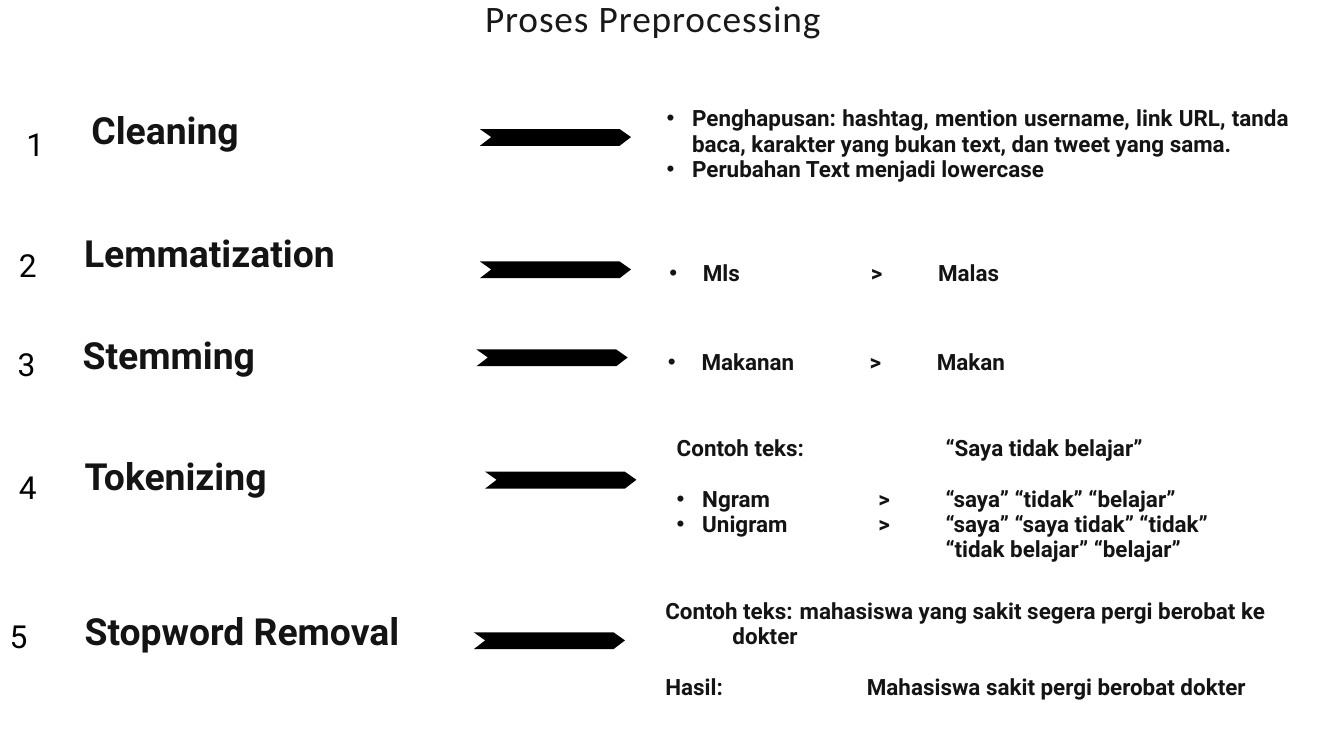
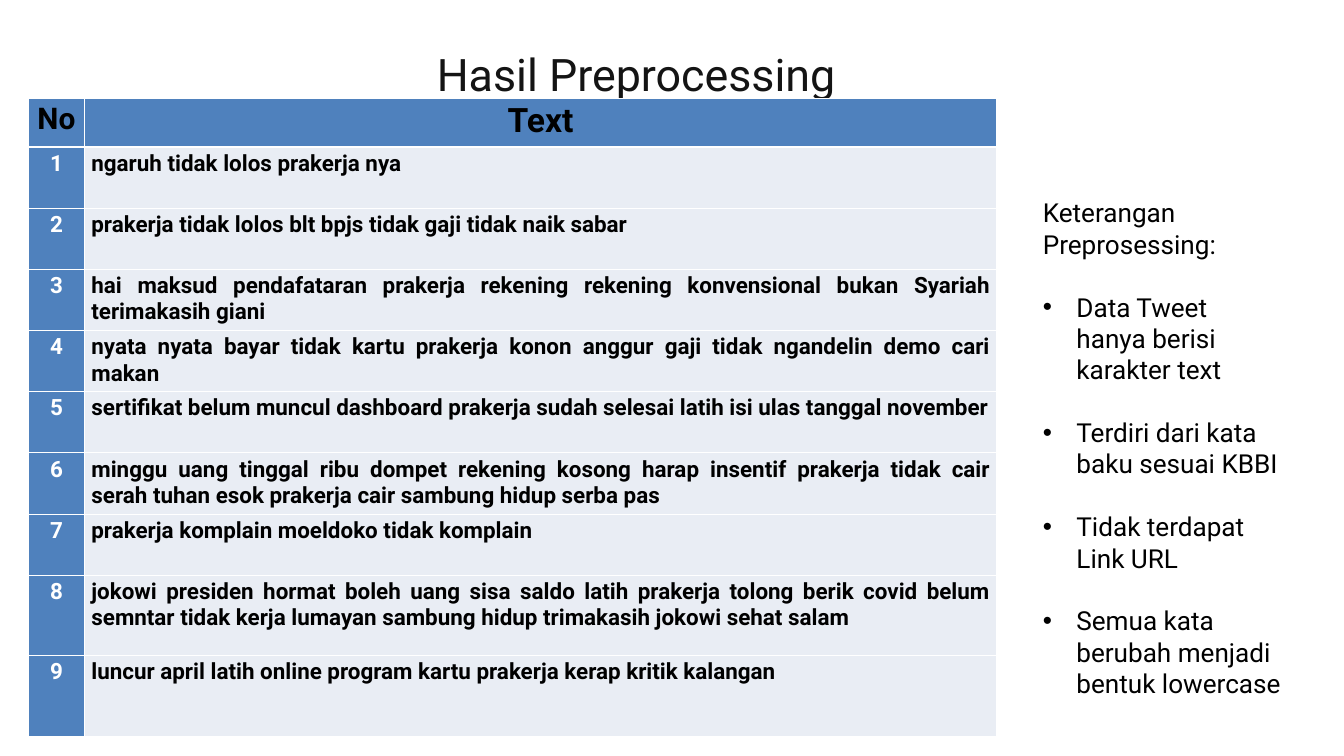
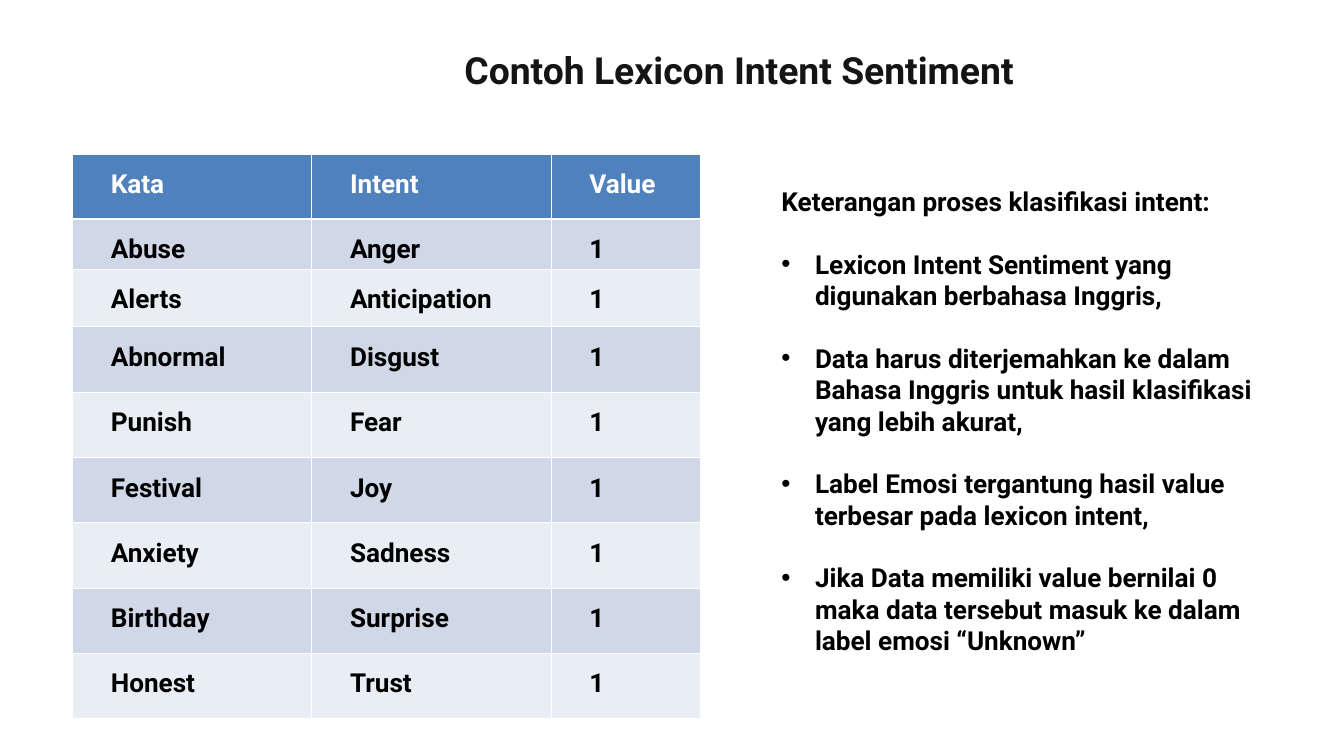
from dataclasses import dataclass

from lxml import etree
from pptx import Presentation
from pptx import util as u
from pptx.dml.color import RGBColor
from pptx.enum import text
from pptx.oxml import ns

PX = 9144
COLORS = {
    "ink": "141414",
    "heading": "191919",
    "black": "000000",
    "white": "FFFFFF",
    "header": "4F81BD",
    "band_dark": "D0D8E8",
    "band_light": "E9EDF4",
}
LEFT, CENTER, JUSTIFY = text.PP_ALIGN.LEFT, text.PP_ALIGN.CENTER, text.PP_ALIGN.JUSTIFY
NO_INSETS = (0, 0, 0, 0)
TEXT_INSETS = (10, 5, 10, 5)
LINE_GAP = 33.6


@dataclass
class Style:
    """Character and paragraph look of a text."""

    size: int
    color: str = "ink"
    bold: bool = False
    font: str = "Roboto"
    align: text.PP_ALIGN = LEFT
    spacing: object = None
    tracking: int = 0


@dataclass
class Line:
    """One paragraph with its indents, tab stops and space before."""

    words: str
    indent: int = 0
    hanging: int = 0
    bullet: bool = False
    tabs: tuple = ()
    before: float = 0
    align: text.PP_ALIGN = None


@dataclass
class Step:
    """One preprocessing step; places are relative to the top of its row."""

    top: int
    name: str
    number_at: tuple
    label_at: tuple
    label_spacing: float
    arrow_at: tuple
    detail_box: tuple
    details: list


def px(length):
    """Turn pixels into EMU."""
    return u.Emu(length * PX)


def rgb(name):
    """Look up a colour."""
    return RGBColor.from_string(COLORS[name])


def add_child(parent, tag, **attributes):
    """Append a drawing element with the given attributes."""
    return etree.SubElement(parent, ns.qn(tag), {key: str(value) for key, value in attributes.items()})


def format_paragraph(paragraph, line, style):
    """Set indents, bullet, tab stops and spacing, then add the run."""
    properties = paragraph._p.get_or_add_pPr()
    if line.indent:
        properties.set("marL", str(px(line.indent)))
        properties.set("indent", str(px(-line.hanging)))
    if line.bullet:
        add_child(properties, "a:buFont", typeface="Arial")
        add_child(properties, "a:buChar", char="•")
    if line.tabs:
        tab_list = add_child(properties, "a:tabLst")
        for stop in line.tabs:
            add_child(tab_list, "a:tab", pos=px(stop), algn="l")
    paragraph.alignment = style.align if line.align is None else line.align
    if style.spacing:
        paragraph.line_spacing = style.spacing
    if line.before:
        paragraph.space_before = u.Pt(line.before)
    run = paragraph.add_run()
    run.text = line.words
    run.font.size = u.Pt(style.size)
    run.font.name = style.font
    run.font.bold = style.bold
    run.font.color.rgb = rgb(style.color)
    if style.tracking:
        run._r.get_or_add_rPr().set("spc", str(style.tracking))


def write(frame, lines, style):
    """Fill a text frame with paragraphs."""
    for index, line in enumerate(lines):
        paragraph = frame.add_paragraph() if index else frame.paragraphs[0]
        format_paragraph(paragraph, line, style)


def set_insets(target, insets):
    """Set the four inner margins of a frame or cell."""
    target.margin_left, target.margin_top, target.margin_right, target.margin_bottom = map(px, insets)


def fill_text_shape(shape, lines, style, insets):
    """Prepare the frame of a shape and write into it."""
    frame = shape.text_frame
    frame.word_wrap = True
    frame.auto_size = text.MSO_AUTO_SIZE.SHAPE_TO_FIT_TEXT
    frame.vertical_anchor = text.MSO_ANCHOR.TOP
    set_insets(frame, insets)
    write(frame, lines, style)


def add_text(slide, box, lines, style, insets=NO_INSETS):
    """Add a text box."""
    fill_text_shape(slide.shapes.add_textbox(*map(px, box)), lines, style, insets)


def add_titled_slide(presentation, title, box, style, insets=NO_INSETS):
    """Add a title-only slide and format its title."""
    slide = presentation.slides.add_slide(presentation.slide_layouts[5])
    shape = slide.shapes.title
    shape.left, shape.top, shape.width, shape.height = map(px, box)
    fill_text_shape(shape, [Line(title)], style, insets)
    return slide


def add_arrow(slide, left, top):
    """Draw a notched black arrow."""
    width, height, notch = 225, 25, 17
    middle, shoulder = height // 2, width - notch
    builder = slide.shapes.build_freeform(left + shoulder, top + height, scale=PX)
    outline = [(0, height), (notch, middle), (0, 0), (shoulder, 0), (width, middle)]
    builder.add_line_segments([(left + x, top + y) for x, y in outline], close=True)
    shape = builder.convert_to_shape()
    shape.shadow.inherit = False
    shape.fill.solid()
    shape.fill.fore_color.rgb = rgb("black")
    shape.line.fill.background()


def add_step(slide, number, step):
    """Place number, name, arrow and details of one step."""
    number_left, number_top = step.number_at
    label_left, label_top = step.label_at
    arrow_left, arrow_top = step.arrow_at
    detail_left, detail_top, detail_width, detail_height = step.detail_box
    add_text(slide, (number_left, step.top + number_top, 39, 64), [Line(str(number))],
             Style(34, "black", align=CENTER, spacing=u.Pt(47.6)))
    add_text(slide, (label_left, step.top + label_top, 821, 50), [Line(step.name)],
             Style(40, bold=True, align=JUSTIFY, spacing=u.Pt(step.label_spacing)))
    add_arrow(slide, arrow_left, step.top + arrow_top)
    add_text(slide, (detail_left, step.top + detail_top, detail_width, detail_height), step.details,
             Style(24, bold=True, spacing=u.Pt(27)))


def set_borders(cell, bottom_width):
    """Give a cell white borders."""
    properties = cell._tc.get_or_add_tcPr()
    for index, (side, points) in enumerate({"L": 1, "R": 1, "T": 1, "B": bottom_width}.items()):
        border = etree.Element(ns.qn(f"a:ln{side}"), w=str(u.Pt(points)))
        add_child(add_child(border, "a:solidFill"), "a:srgbClr", val=COLORS["white"])
        properties.insert(index, border)


def add_table(slide, left, top, widths, heights, rows, look):
    """Add a table; look(row, column) gives fill, style, insets and indent."""
    box = (left, top, sum(widths), sum(heights))
    table = slide.shapes.add_table(len(rows), len(widths), *map(px, box)).table
    table.horz_banding = False
    for column, width in zip(table.columns, widths):
        column.width = px(width)
    for row, height in zip(table.rows, heights):
        row.height = px(height)
    for row_index, row in enumerate(rows):
        for column_index, words in enumerate(row):
            cell = table.cell(row_index, column_index)
            fill, style, insets, indent = look(row_index, column_index)
            cell.fill.solid()
            cell.fill.fore_color.rgb = rgb(fill)
            set_borders(cell, 1 if row_index else 3)
            set_insets(cell, insets)
            write(cell.text_frame, [Line(words, indent)], style)


def add_notes_list(slide, box, heading, points, bold):
    """Add a heading with spaced bullet points."""
    lines = [Line(heading)]
    lines += [Line(point, 50, 50, True, before=LINE_GAP) for point in points]
    add_text(slide, box, lines, Style(28, "black", bold), TEXT_INSETS)


def result_look(row, column):
    """Look of a cell in the results table."""
    if row == 0:
        return "header", Style(36 if column else 32, "black", True, align=CENTER), TEXT_INSETS, 0
    if column == 0:
        return "header", Style(24, "white", True, align=CENTER), TEXT_INSETS, 0
    return "band_light", Style(24, "black", True, align=JUSTIFY), TEXT_INSETS, 0


def lexicon_look(row, column):
    """Look of a cell in the lexicon table."""
    fill = "header" if row == 0 else ("band_light", "band_dark")[row % 2]
    style = Style(28, "black" if row else "white", True, spacing=1.5)
    return fill, style, (7, 0, 7, 0), 50


def build_process(presentation):
    """Build the slide of preprocessing steps."""
    slide = add_titled_slide(presentation, "Proses Preprocessing", (472, 8, 1000, 60),
                             Style(40, "heading", font="Calibri", align=CENTER,
                                   spacing=u.Pt(33.5), tracking=100), TEXT_INSETS)
    columns = (300, 400)
    steps = [
        Step(158, "Cleaning", (33, 18), (136, 35), 24.3, (714, 34), (992, 0, 926, 114), [
            Line("Penghapusan: hashtag, mention username, link URL, tanda baca, karakter yang "
                 "bukan text, dan tweet yang sama.", 38, 38, True, align=JUSTIFY),
            Line("Perubahan Text menjadi lowercase", 38, 38, True, align=JUSTIFY)]),
        Step(356, "Lemmatization", (22, 0), (125, 16), 27, (714, 33), (996, 32, 926, 38), [
            Line("Mls\t>\tMalas", 50, 50, True, columns)]),
        Step(503, "Stemming", (20, 0), (123, 9), 35.7, (709, 17), (994, 18, 937, 38), [
            Line("Makanan\t>\tMakan", 50, 50, True, columns)]),
        Step(649, "Tokenizing", (22, 38), (126, 46), 33, (722, 53), (1007, 0, 948, 189), [
            Line("Contoh teks:\t“Saya tidak belajar”", tabs=(400,)),
            Line("Ngram\t>\t“saya” “tidak” “belajar”", 38, 38, True, columns, 27),
            Line("Unigram\t>\t“saya” “saya tidak” “tidak”", 38, 38, True, columns),
            Line("“tidak belajar” “belajar”", 400)]),
        Step(891, "Stopword Removal", (8, 18), (126, 29), 37.2, (705, 50), (990, 0, 971, 151), [
            Line("Contoh teks:\tmahasiswa yang sakit segera pergi berobat ke dokter",
                 100, 100, tabs=(300,)),
            Line("Hasil:\tMahasiswa sakit pergi berobat dokter", tabs=(300,), before=27)]),
    ]
    for number, step in enumerate(steps, 1):
        add_step(slide, number, step)


def build_results(presentation):
    """Build the slide of preprocessing results."""
    slide = add_titled_slide(presentation, "Hasil Preprocessing", (650, -1, 800, 135),
                             Style(48, spacing=u.Pt(108)))
    tweets = [
        "ngaruh tidak lolos prakerja nya",
        "prakerja tidak lolos blt bpjs tidak gaji tidak naik sabar",
        "hai maksud pendafataran prakerja rekening rekening konvensional bukan Syariah terimakasih giani",
        "nyata nyata bayar tidak kartu prakerja konon anggur gaji tidak ngandelin demo cari makan",
        "sertifikat belum muncul dashboard prakerja sudah selesai latih isi ulas tanggal november",
        "minggu uang tinggal ribu dompet rekening kosong harap insentif prakerja tidak cair "
        "serah tuhan esok prakerja cair sambung hidup serba pas",
        "prakerja komplain moeldoko tidak komplain",
        "jokowi presiden hormat boleh uang sisa saldo latih prakerja tolong berik covid belum "
        "semntar tidak kerja lumayan sambung hidup trimakasih jokowi sehat salam",
        "luncur april latih online program kartu prakerja kerap kritik kalangan",
    ]
    rows = [("No", "Text")] + [(str(number), tweet) for number, tweet in enumerate(tweets, 1)]
    add_table(slide, 42, 146, (84, 1357), [73] + [91] * 7 + [120] * 2, rows, result_look)
    add_notes_list(slide, (1542, 288, 375, 764), "Keterangan Preprosessing:", [
        "Data Tweet hanya berisi karakter text",
        "Terdiri dari kata baku sesuai KBBI",
        "Tidak terdapat Link URL",
        "Semua kata berubah menjadi bentuk lowercase",
    ], False)


def build_lexicon(presentation):
    """Build the slide of lexicon examples."""
    slide = add_titled_slide(presentation, "Contoh Lexicon Intent Sentiment", (691, 70, 924, 67),
                             Style(40, bold=True, spacing=u.Pt(48)))
    intents = {
        "Abuse": "Anger",
        "Alerts": "Anticipation",
        "Abnormal": "Disgust",
        "Punish": "Fear",
        "Festival": "Joy",
        "Anxiety": "Sadness",
        "Birthday": "Surprise",
        "Honest": "Trust",
    }
    rows = [("Kata", "Intent", "Value")] + [(word, intent, "1") for word, intent in intents.items()]
    add_table(slide, 108, 229, (356, 356, 222), [97, 75, 85, 98] + [97] * 5, rows, lexicon_look)
    add_notes_list(slide, (1153, 271, 759, 717), "Keterangan proses klasifikasi intent:", [
        "Lexicon Intent Sentiment yang digunakan berbahasa Inggris,",
        "Data harus diterjemahkan ke dalam Bahasa Inggris untuk hasil klasifikasi yang lebih akurat,",
        "Label Emosi tergantung hasil value terbesar pada lexicon intent,",
        "Jika Data memiliki value bernilai 0 maka data tersebut masuk ke dalam label emosi “Unknown”",
    ], True)


def main():
    """Build the presentation."""
    presentation = Presentation()
    presentation.slide_width, presentation.slide_height = px(2000), px(1125)
    build_process(presentation)
    build_results(presentation)
    build_lexicon(presentation)
    presentation.save("out.pptx")


if __name__ == "__main__":
    main()
